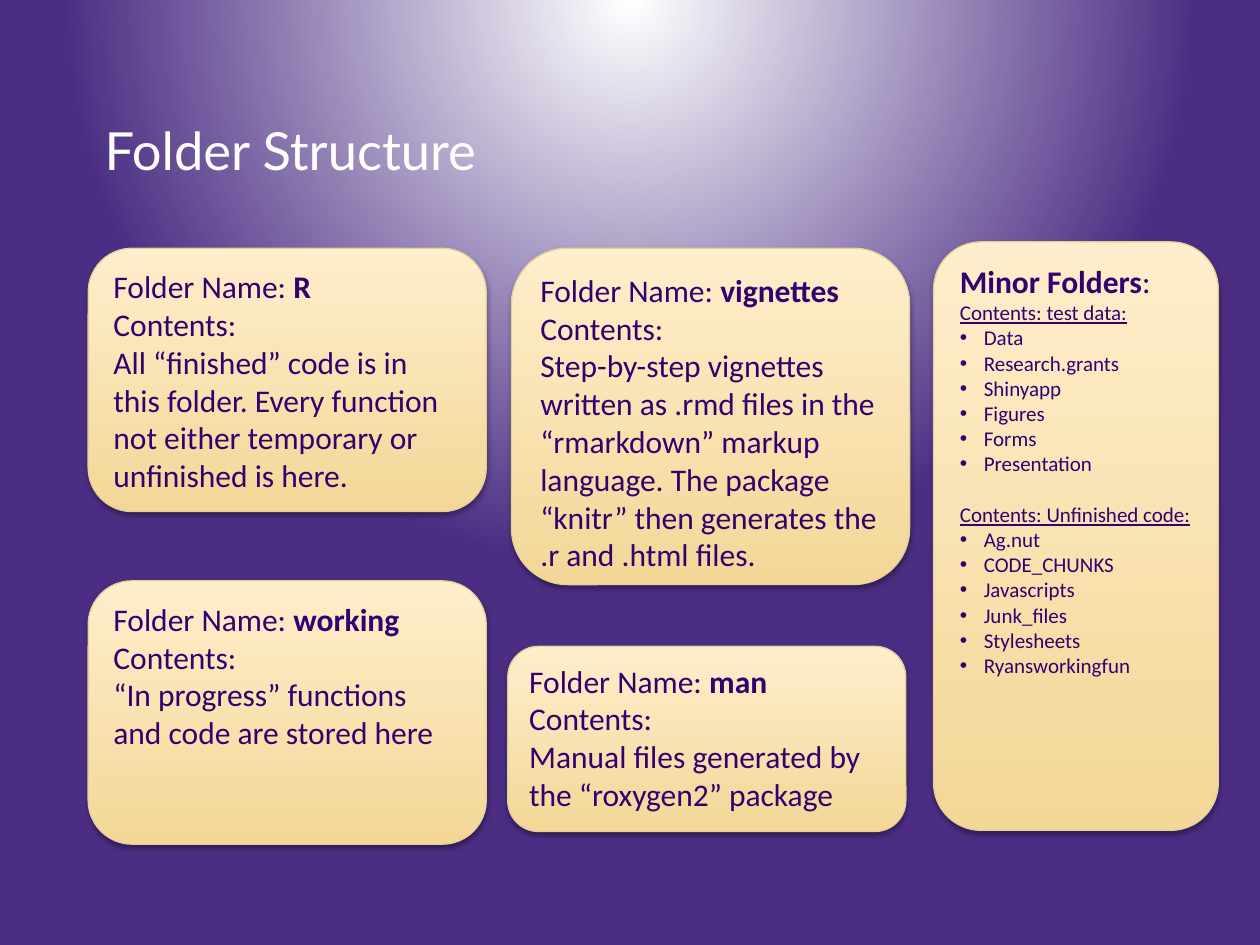
from dataclasses import dataclass

from lxml import etree
from pptx import Presentation
from pptx import util as u
from pptx.dml.color import RGBColor
from pptx.enum import shapes, text
from pptx.oxml import ns

COLORS = {
    "white": "FFFFFF", "purple": "4B2E83", "ink": "33006F", "gold": "F2D797",
    "cream": "FFEECC", "edge": "E5CF9D", "shadow": "000000",
}
BODY_FONT, TITLE_FONT = "Calibri", "Lato"
INDENT = u.Inches(0.19)

prs = Presentation()
prs.slide_width, prs.slide_height = u.Inches(10), u.Inches(7.5)
CELL = prs.slide_width / 100  # square grid, 100 columns by 75 rows


@dataclass
class Box:
    col: float
    row: float
    cols: float
    rows: float

    def emu(self) -> list[int]:
        return [round(n * CELL) for n in (self.col, self.row, self.cols, self.rows)]


@dataclass
class Folder:
    box: Box
    name: str
    contents: str


@dataclass
class Group:
    heading: str
    items: list[str]


def rgb(name: str) -> RGBColor:
    return RGBColor.from_string(COLORS[name])


def add(parent, tag: str, **attrs):
    return etree.SubElement(parent, ns.qn(tag), {k: str(v) for k, v in attrs.items()})


def set_gradient(fill, stops: list[tuple[float, str]]) -> None:
    fill.gradient()
    for stop, (position, color) in zip(fill.gradient_stops, stops):
        stop.position = position
        stop.color.rgb = rgb(color)


def add_run(p, words: str, size: int = 18, bold: bool = False, underline: bool = False) -> None:
    r = p.add_run()
    r.text = words
    r.font.name, r.font.size = BODY_FONT, u.Pt(size)
    r.font.bold, r.font.underline = bold, underline
    r.font.color.rgb = rgb("ink")


def add_card(s, box: Box):
    """Draw a rounded gold card and return its text frame."""
    sp = s.shapes.add_shape(shapes.MSO_SHAPE.ROUNDED_RECTANGLE, *box.emu())
    set_gradient(sp.fill, [(0, "gold"), (1, "cream")])
    sp.fill.gradient_angle = 90
    sp.line.color.rgb, sp.line.width = rgb("edge"), u.Pt(0.75)
    sp.shadow.inherit = False
    effects = sp._element.spPr.find(ns.qn("a:effectLst"))
    shadow = add(effects, "a:outerShdw", blurRad=u.Pt(3.1), dist=u.Pt(1.8),
                 dir=90 * 60000, rotWithShape=0)
    add(add(shadow, "a:srgbClr", val=COLORS["shadow"]), "a:alpha", val=35000)
    tf = sp.text_frame
    tf.word_wrap = True
    tf.vertical_anchor = text.MSO_ANCHOR.TOP
    tf.paragraphs[0].alignment = text.PP_ALIGN.LEFT
    return tf


def add_paragraph(tf):
    p = tf.add_paragraph()
    p.alignment = text.PP_ALIGN.LEFT
    return p


def add_folder(s, folder: Folder) -> None:
    tf = add_card(s, folder.box)
    add_run(tf.paragraphs[0], "Folder Name: ")
    add_run(tf.paragraphs[0], folder.name, bold=True)
    for line in ("Contents:", folder.contents):
        add_run(add_paragraph(tf), line)


def add_minor_folders(s, box: Box, groups: list[Group]) -> None:
    tf = add_card(s, box)
    add_run(tf.paragraphs[0], "Minor Folders", bold=True)
    add_run(tf.paragraphs[0], ":")
    for i, group in enumerate(groups):
        p = add_paragraph(tf)
        if i:
            p.space_before = u.Pt(14.4)
        add_run(p, group.heading, size=12, underline=True)
        for item in group.items:
            p = add_paragraph(tf)
            pPr = p._p.get_or_add_pPr()
            pPr.set("marL", str(INDENT))
            pPr.set("indent", str(-INDENT))
            add(pPr, "a:buFont", typeface="Arial")
            add(pPr, "a:buChar", char="•")
            add_run(p, item, size=12)


FOLDERS = [
    Folder(Box(7, 19.7, 31.6, 20.9), "R",
           "All “finished” code is in this folder. Every function not either "
           "temporary or unfinished is here."),
    Folder(Box(40.6, 19.7, 31.6, 26.7), "vignettes",
           "Step-by-step vignettes written as .rmd files in the “rmarkdown” markup "
           "language. The package “knitr” then generates the .r and .html files."),
    Folder(Box(7, 46.1, 31.6, 20.9), "working",
           "“In progress” functions and code are stored here"),
    Folder(Box(40.3, 51.3, 31.6, 14.7), "man",
           "Manual files generated by the “roxygen2” package"),
]
MINOR_GROUPS = [
    Group("Contents: test data:",
          ["Data", "Research.grants", "Shinyapp", "Figures", "Forms", "Presentation"]),
    Group("Contents: Unfinished code:",
          ["Ag.nut", "CODE_CHUNKS", "Javascripts", "Junk_files", "Stylesheets",
           "Ryansworkingfun"]),
]


def main() -> None:
    s = prs.slides.add_slide(prs.slide_layouts[5])

    # Background: a circular glow from above the slide
    set_gradient(s.background.fill, [(0, "white"), (0.72, "purple")])
    grad = next(s._element.iter(ns.qn("a:gradFill")))
    grad.remove(grad.find(ns.qn("a:lin")))
    glow = add(grad, "a:path", path="circle")
    add(glow, "a:fillToRect", l=50000, t=-80000, r=50000, b=180000)

    # Title
    title = s.shapes.title
    title.left, title.top, title.width, title.height = Box(7.3, 4.1, 89.5, 10.8).emu()
    tf = title.text_frame
    tf.text = "Folder Structure"
    tf.vertical_anchor = text.MSO_ANCHOR.BOTTOM
    p = tf.paragraphs[0]
    p.alignment, p.line_spacing = text.PP_ALIGN.LEFT, 0.9
    font = p.runs[0].font
    font.name, font.size = TITLE_FONT, u.Pt(30)
    font.color.rgb = rgb("white")

    # Folder cards
    for folder in FOLDERS:
        add_folder(s, folder)
    add_minor_folders(s, Box(74.1, 19.2, 22.6, 46.7), MINOR_GROUPS)

    prs.save("out.pptx")


if __name__ == "__main__":
    main()
